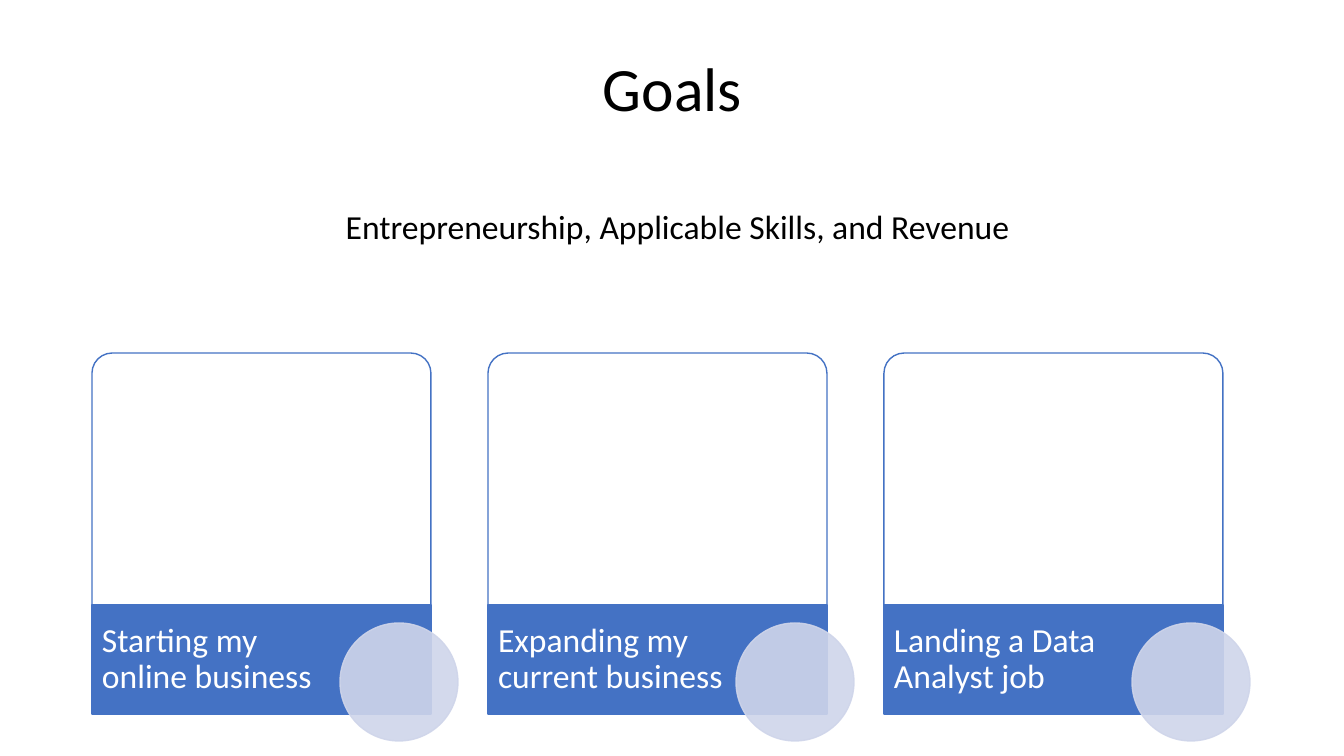
from dataclasses import dataclass

from lxml import etree
from pptx import Presentation
from pptx.dml.color import RGBColor
from pptx.enum.shapes import MSO_SHAPE
from pptx.enum.text import MSO_ANCHOR, PP_ALIGN
from pptx.oxml.ns import qn
from pptx.util import Pt

ROUND = MSO_SHAPE.ROUND_2_SAME_RECTANGLE
RECT = MSO_SHAPE.RECTANGLE
OVAL = MSO_SHAPE.OVAL
MIDDLE, TOP = MSO_ANCHOR.MIDDLE, MSO_ANCHOR.TOP
LEFT, CENTER = PP_ALIGN.LEFT, PP_ALIGN.CENTER

TITLE = "Goals"
THEMES = "Entrepreneurship, Applicable Skills, and Revenue"
GOALS = [
    "Starting my online business",
    "Expanding my current business",
    "Landing a Data Analyst job",
]


@dataclass(frozen=True)
class Theme:
    font: str = "Calibri"
    ink: str = "000000"
    paper: str = "FFFFFF"
    blue: str = "4472C4"
    pale: str = "CFD5EA"
    head: int = 44
    body: int = 24


THEME = Theme()
SCALE = 914400 / 100.8
CARD_X, CARD_Y, CARD_W, CARD_H = 92, 353, 339, 253
STEP = 396
BAR_Y, BAR_H, LABEL_W = 605, 109, 238
DOT_X, DOT_Y, DOT_D = 248, 623, 118


def px(n):
    return round(n * SCALE)


def paint(fill, color):
    fill.solid()
    fill.fore_color.rgb = RGBColor.from_string(color)


def fade(part, alpha):
    node = part.find(qn("a:solidFill")).find(qn("a:srgbClr"))
    etree.SubElement(node, qn("a:alpha"), val=str(alpha * 1000))


def draw(slide, kind, box, fill, line, alpha=100, edge=100):
    shape = slide.shapes.add_shape(kind, *map(px, box))
    shape.shadow.inherit = False
    paint(shape.fill, fill)
    paint(shape.line.fill, line)
    shape.line.width = Pt(1)
    props = shape.element.find(qn("p:spPr"))
    if alpha < 100:
        fade(props, alpha)
    if edge < 100:
        fade(props.find(qn("a:ln")), edge)
    return shape


def write(shape, text, box, size=THEME.body, color=THEME.ink, align=CENTER,
          anchor=MIDDLE, space=0.9, inset=(10, 5, 10, 5)):
    shape.left, shape.top, shape.width, shape.height = map(px, box)
    frame = shape.text_frame
    frame.word_wrap = True
    frame.vertical_anchor = anchor
    (frame.margin_left, frame.margin_top,
     frame.margin_right, frame.margin_bottom) = map(px, inset)
    para = frame.paragraphs[0]
    para.alignment = align
    para.line_spacing = space
    run = para.add_run()
    run.text = text
    run.font.name = THEME.font
    run.font.size = Pt(size)
    run.font.color.rgb = RGBColor.from_string(color)


def label(slide, text, box, **form):
    write(slide.shapes.add_textbox(0, 0, 0, 0), text, box, **form)


def card(slide, goal, x):
    panel = draw(slide, ROUND, (x, CARD_Y, CARD_W, CARD_H),
                 THEME.paper, THEME.blue, alpha=90)
    panel.adjustments[0] = 0.08
    draw(slide, RECT, (x, BAR_Y, CARD_W, BAR_H), THEME.blue, THEME.blue)
    label(slide, goal, (x, BAR_Y, LABEL_W, BAR_H), color=THEME.paper,
          align=LEFT, inset=(10, 0, 3, 0))
    draw(slide, OVAL, (x + DOT_X, DOT_Y, DOT_D, DOT_D),
         THEME.pale, THEME.pale, alpha=90, edge=90)


def main():
    deck = Presentation()
    deck.slide_width, deck.slide_height = px(1344), px(756)
    slide = deck.slides.add_slide(deck.slide_layouts[5])
    write(slide.shapes.title, TITLE, (93, 0, 1159, 183), size=THEME.head)
    for i, goal in enumerate(GOALS):
        card(slide, goal, CARD_X + i * STEP)
    label(slide, THEMES, (140, 201, 1075, 50), anchor=TOP, space=1.0)
    deck.save("out.pptx")


if __name__ == "__main__":
    main()
